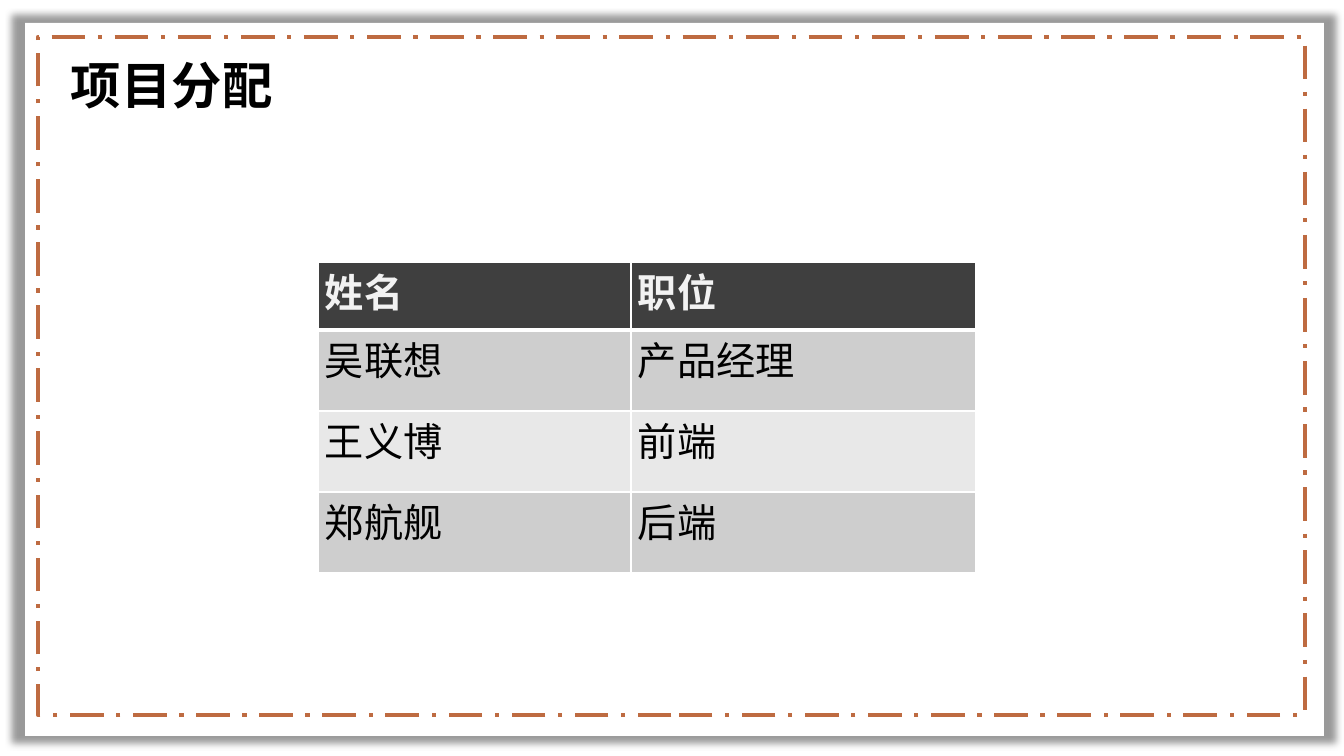
import pptx
import pptx.dml.color
import pptx.enum.dml
import pptx.enum.shapes
import pptx.enum.text
import pptx.oxml
import pptx.oxml.ns
import pptx.util
from lxml import etree

RGB = pptx.dml.color.RGBColor
qn = pptx.oxml.ns.qn

# Content
TITLE = "项目分配"
ROWS = [
    ("姓名", "职位"),
    ("吴联想", "产品经理"),
    ("王义博", "前端"),
    ("郑航舰", "后端"),
]

# Layout in px: left, top, width, height
SLIDE = (1344, 756)
CARD = (25, 23, 1299, 713)
FRAME = (38, 37, 1267, 678)
TITLE_BOX = (61, 49, 478, 72)
TABLE_AT = (318, 262)
COLS = (313, 345)
ROW_HEIGHTS = (68, 81, 81, 81)
CELL_INSET = 7

FONT = "Noto Sans CJK SC"
WHITE = RGB(0xFF, 0xFF, 0xFF)
BLACK = RGB(0, 0, 0)
RUST = RGB(0xBE, 0x6B, 0x41)
HEADER_FILL = RGB(0x3F, 0x3F, 0x3F)
HEADER_TEXT = RGB(0xF2, 0xF2, 0xF2)
BANDS = (RGB(0xCE, 0xCE, 0xCE), RGB(0xE8, 0xE8, 0xE8))

SHADOW = (
    f'<a:effectLst {pptx.oxml.ns.nsdecls("a")}>'
    '<a:outerShdw blurRad="63500" sx="102000" sy="102000" algn="ctr" rotWithShape="0">'
    '<a:srgbClr val="000000"><a:alpha val="40000"/></a:srgbClr>'
    '</a:outerShdw></a:effectLst>'
)


def px(n):
    return pptx.util.Emu(round(n * 914400 / 100.8))


def box(at):
    return [px(n) for n in at]


def style(p, size, color, bold):
    p.font.size = pptx.util.Pt(size)
    p.font.bold = bold
    p.font.color.rgb = color
    p.font.name = FONT
    props = p._p.pPr.find(qn("a:defRPr"))
    etree.SubElement(props, qn("a:ea")).set("typeface", FONT)


def add_rect(s, at):
    shape = s.shapes.add_shape(pptx.enum.shapes.MSO_SHAPE.RECTANGLE, *box(at))
    shape.shadow.inherit = False
    return shape


def set_borders(cell, widths):
    """Draw white borders; widths maps each side to points."""
    props = cell._tc.get_or_add_tcPr()
    for i, (side, points) in enumerate(widths.items()):
        ln = etree.Element(qn("a:ln" + side), w=str(pptx.util.Pt(points)))
        fill = etree.SubElement(ln, qn("a:solidFill"))
        etree.SubElement(fill, qn("a:srgbClr"), val=str(WHITE))
        props.insert(i, ln)


def main():
    prs = pptx.Presentation()
    prs.slide_width, prs.slide_height = box(SLIDE)
    s = prs.slides.add_slide(prs.slide_layouts[6])

    # White card with a soft shadow
    card = add_rect(s, CARD)
    card.fill.solid()
    card.fill.fore_color.rgb = WHITE
    card.line.fill.background()
    effects = card._element.spPr.find(qn("a:effectLst"))
    effects.getparent().replace(effects, pptx.oxml.parse_xml(SHADOW))

    # Dashed frame
    frame = add_rect(s, FRAME)
    frame.fill.background()
    frame.line.color.rgb = RUST
    frame.line.width = pptx.util.Pt(3)
    frame.line.dash_style = pptx.enum.dml.MSO_LINE.LONG_DASH_DOT

    # Title
    tf = s.shapes.add_textbox(*box(TITLE_BOX)).text_frame
    tf.word_wrap = True
    tf.auto_size = pptx.enum.text.MSO_AUTO_SIZE.SHAPE_TO_FIT_TEXT
    tf.text = TITLE
    style(tf.paragraphs[0], 36, BLACK, True)

    # Table of names and positions
    size = (sum(COLS), sum(ROW_HEIGHTS))
    table = s.shapes.add_table(len(ROWS), len(COLS), *box(TABLE_AT + size)).table
    for column, width in zip(table.columns, COLS):
        column.width = px(width)
    for r, (row, height) in enumerate(zip(ROWS, ROW_HEIGHTS)):
        header = r == 0
        table.rows[r].height = px(height)
        for c, text in enumerate(row):
            cell = table.cell(r, c)
            cell.margin_left = cell.margin_right = px(CELL_INSET)
            cell.margin_top = cell.margin_bottom = 0
            cell.fill.solid()
            cell.fill.fore_color.rgb = HEADER_FILL if header else BANDS[(r - 1) % 2]
            set_borders(cell, {"L": 1, "R": 1, "T": 3 if r == 1 else 1,
                               "B": 3 if header else 1})
            cell.text = text
            p = cell.text_frame.paragraphs[0]
            p.alignment = pptx.enum.text.PP_ALIGN.JUSTIFY
            style(p, 28, HEADER_TEXT if header else BLACK, header)

    prs.save("out.pptx")


if __name__ == "__main__":
    main()
